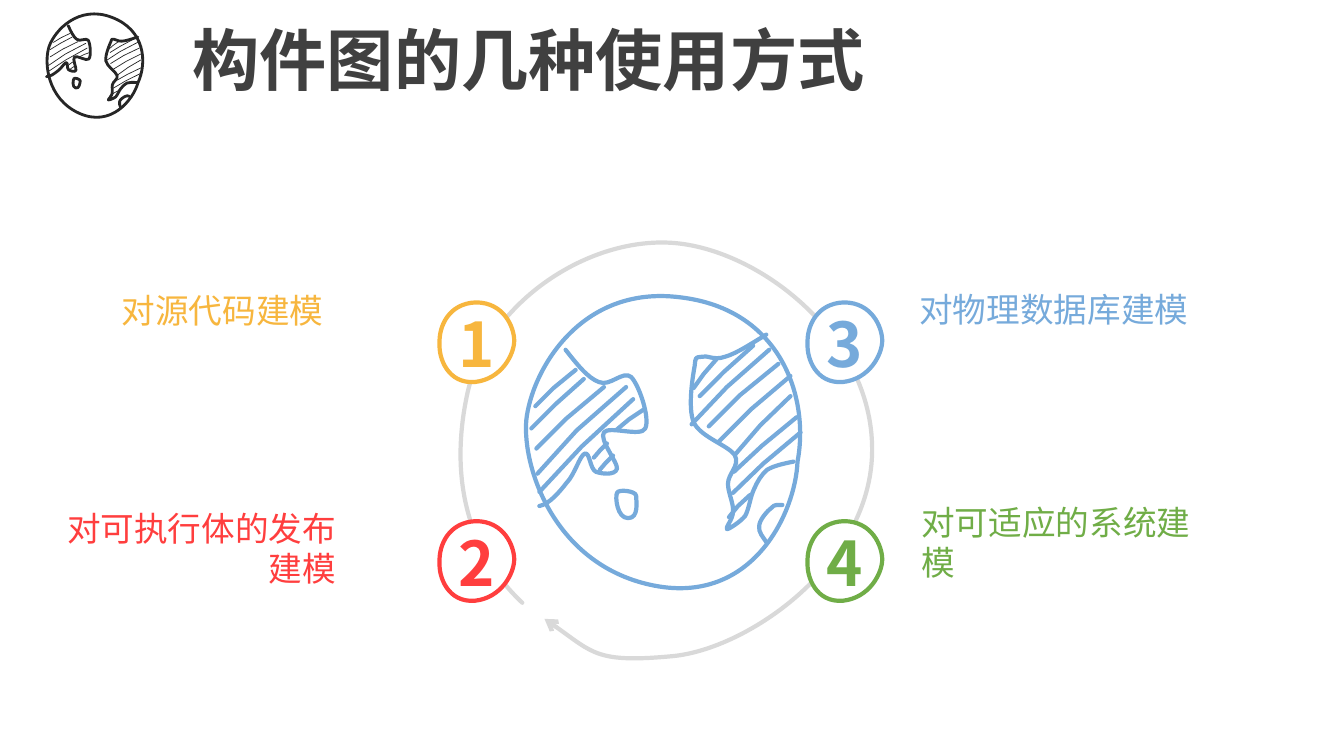
from math import cos, radians, sin

from lxml import etree
from pptx import Presentation
from pptx.dml.color import RGBColor
from pptx.enum.text import MSO_ANCHOR, MSO_AUTO_SIZE, PP_ALIGN
from pptx.oxml.ns import qn
from pptx.util import Cm, Pt

LEFT, CENTER, RIGHT = PP_ALIGN.LEFT, PP_ALIGN.CENTER, PP_ALIGN.RIGHT
TOP, MIDDLE = MSO_ANCHOR.TOP, MSO_ANCHOR.MIDDLE
NO_AUTOFIT = MSO_AUTO_SIZE.NONE
TEXT_FONT, DIGIT_FONT = "Noto Sans CJK SC", "Noto Sans CJK JP"
BLUE, YELLOW, RED, GREEN = "76AADB", "F7B63E", "FF3E3E", "70AD47"
DARK, GREY, WHITE, INK = "262626", "D9D9D9", "FFFFFF", "404040"
GLOBE_CENTER = (6.57, 4.37)

GLOBE_RIM = [
    (5.22, 4.17), (5.27, 3.69), (5.75, 2.82), (6.75, 2.95), (7.75, 3.07), (8.03, 3.95),
    (7.91, 4.58), (7.89, 5.08), (7.47, 6), (6.49, 5.81), (5.51, 5.62), (5.18, 4.65), (5.22, 4.17)]
WEST_COAST = [
    (5.61, 3.47), (5.72, 3.61), (5.83, 3.75), (5.94, 3.79), (6.05, 3.84), (6.18, 3.67),
    (6.26, 3.74), (6.34, 3.82), (6.45, 4.15), (6.4, 4.25), (6.36, 4.34), (6.04, 4.22),
    (5.99, 4.29), (5.94, 4.36), (6.13, 4.59), (6.12, 4.65), (6.1, 4.72), (5.96, 4.7),
    (5.91, 4.68), (5.85, 4.65), (5.85, 4.48), (5.8, 4.5), (5.75, 4.52), (5.7, 4.71),
    (5.62, 4.79), (5.55, 4.88), (5.45, 5), (5.35, 5.02)]
ISLAND = [
    (6.12, 4.89), (6.13, 4.85), (6.31, 4.87), (6.31, 4.92), (6.31, 4.97), (6.34, 5.14),
    (6.23, 5.14), (6.12, 5.14), (6.1, 4.93), (6.12, 4.89)]
EAST_COAST = [
    (7.6, 3.32), (7.45, 3.41), (7.3, 3.51), (7.19, 3.54), (7.08, 3.58), (7.01, 3.52),
    (6.96, 3.54), (6.9, 3.55), (6.9, 3.53), (6.89, 3.63), (6.87, 3.74), (6.82, 4.04),
    (6.88, 4.19), (6.95, 4.34), (7.23, 4.42), (7.29, 4.52), (7.34, 4.62), (7.22, 4.7),
    (7.22, 4.8), (7.22, 4.89), (7.28, 5), (7.27, 5.08), (7.27, 5.15), (7.19, 5.24),
    (7.21, 5.25), (7.23, 5.25), (7.34, 5.18), (7.39, 5.12), (7.43, 5.05), (7.44, 4.93),
    (7.48, 4.85), (7.51, 4.78), (7.55, 4.71), (7.61, 4.66), (7.68, 4.62), (7.77, 4.6), (7.87, 4.58)]
SOUTH_COAST = [
    (7.76, 5.01), (7.72, 5.01), (7.68, 5), (7.65, 5.04), (7.61, 5.07), (7.53, 5.16),
    (7.53, 5.22), (7.52, 5.28), (7.57, 5.33), (7.61, 5.39)]
GLOBE_OUTLINES = [GLOBE_RIM, WEST_COAST, ISLAND, EAST_COAST, SOUTH_COAST]
HATCHES = [
    [(7.28, 4.68), (7.56, 4.42), (7.9, 4.14)], [(6.86, 4.21), (7.21, 3.84), (7.63, 3.47)],
    [(5.31, 4.03), (5.49, 3.85), (5.71, 3.67)], [(7.29, 4.51), (7.54, 4.22), (7.84, 3.93)],
    [(5.35, 4.88), (5.77, 4.43), (6.28, 3.96)], [(7.13, 4.38), (7.45, 4.06), (7.84, 3.73)],
    [(7.03, 4.23), (7.34, 3.92), (7.72, 3.61)], [(6.94, 3.93), (7.18, 3.69), (7.47, 3.43)],
    [(6.12, 4.26), (6.24, 4.16), (6.39, 4.06)], [(5.32, 4.45), (5.62, 4.15), (5.99, 3.84)],
    [(7.27, 4.89), (7.57, 4.6), (7.94, 4.29)], [(7.23, 5.13), (7.32, 5.02), (7.44, 4.91)],
    [(6.88, 3.85), (6.98, 3.71), (7.11, 3.56)], [(5.27, 4.25), (5.51, 4.01), (5.79, 3.76)],
    [(5.33, 4.7), (5.72, 4.27), (6.21, 3.84)], [(5.89, 4.54), (5.95, 4.47), (6.02, 4.4)],
    [(5.95, 4.66), (6.01, 4.59), (6.08, 4.52)]]
ORBIT = [
    (5.18, 5.98), (4.7, 5.53), (4.44, 4.84), (4.63, 3.93), (4.81, 3.03), (5.81, 2.35),
    (6.67, 2.41), (7.52, 2.47), (8.65, 3.33), (8.65, 4.46), (8.65, 5.59), (7.42, 6.44),
    (6.67, 6.51), (5.92, 6.58), (5.87, 6.46), (5.4, 6.14)]
BADGE = [
    (0.74, 0.38), (0.74, 0.25), (0.64, 0), (0.36, 0), (0.09, 0.01), (-0.01, 0.24), (0, 0.41),
    (-0.01, 0.55), (0.08, 0.81), (0.35, 0.79), (0.62, 0.76), (0.74, 0.51), (0.74, 0.38)]

USES = [
    ("1", YELLOW, (4.36, 3), "对源代码建模", (1.11, 2.83, 2.3, 0.5), LEFT),
    ("2", RED, (4.36, 5.17), "对可执行体的发布建模", (0.49, 4.99, 2.94, 0.91), RIGHT),
    ("3", BLUE, (8.01, 3), "对物理数据库建模", (9.02, 2.82, 2.94, 0.5), LEFT),
    ("4", GREEN, (8.01, 5.17), "对可适应的系统建模", (9.04, 4.93, 2.94, 0.91), LEFT)]


def length(inches):
    return Cm(inches * 2.54)


def color(value):
    return RGBColor.from_string(value)


def bend(shape):
    segments = list(shape._element.iter(qn("a:lnTo")))
    for first in range(0, len(segments), 3):
        arc = etree.Element(qn("a:cubicBezTo"))
        segments[first].addprevious(arc)
        for segment in segments[first:first + 3]:
            arc.append(segment[0])
            segment.getparent().remove(segment)


def add_outline(shapes, points, line_color, width, fill=None, curved=True):
    corners = [(length(x), length(y)) for x, y in points]
    builder = shapes.build_freeform(*corners[0])
    builder.add_line_segments(corners[1:], close=corners[0] == corners[-1])
    shape = builder.convert_to_shape()
    if curved:
        bend(shape)
    shape.shadow.inherit = False
    if fill:
        shape.fill.solid()
        shape.fill.fore_color.rgb = color(fill)
    else:
        shape.fill.background()
    shape.line.color.rgb = color(line_color)
    shape.line.width = Pt(width)
    line = shape._element.spPr.find(qn("a:ln"))
    line.set("cap", "rnd")
    etree.SubElement(line, qn("a:round"))
    return shape


def add_globe(slide, center, scale, angle, line_color, outline_width, hatch_width):
    cosine, sine = scale * cos(radians(angle)), scale * sin(radians(angle))

    def place(points):
        offsets = [(x - GLOBE_CENTER[0], y - GLOBE_CENTER[1]) for x, y in points]
        return [(center[0] + cosine * x - sine * y, center[1] + sine * x + cosine * y)
                for x, y in offsets]

    group = slide.shapes.add_group_shape()
    for outline in GLOBE_OUTLINES:
        add_outline(group.shapes, place(outline), line_color, outline_width)
    for hatch in HATCHES:
        add_outline(group.shapes, place(hatch), line_color, hatch_width, curved=False)


def write(shape, text, size, text_color, font_name, alignment, anchor, bold=False, wrap=True):
    frame = shape.text_frame
    frame.text = text
    frame.word_wrap = wrap
    frame.auto_size = NO_AUTOFIT
    frame.vertical_anchor = anchor
    paragraph = frame.paragraphs[0]
    paragraph.alignment = alignment
    font = paragraph.font
    font.size, font.bold, font.name = Pt(size), bold, font_name
    font.color.rgb = color(text_color)
    properties = paragraph._p.pPr.find(qn("a:defRPr"))
    etree.SubElement(properties, qn("a:ea")).set("typeface", font_name)


def add_title(slide, text):
    title = slide.shapes.title
    title.left, title.top = length(1.81), length(0.13)
    title.width, title.height = length(6.89), length(0.91)
    write(title, text, 48, INK, TEXT_FONT, LEFT, TOP, bold=True, wrap=False)


def add_orbit(slide):
    orbit = add_outline(slide.shapes, ORBIT, GREY, 3)
    line = orbit._element.spPr.find(qn("a:ln"))
    etree.SubElement(line, qn("a:tailEnd")).set("type", "arrow")


def add_badge(slide, digit, badge_color, corner):
    points = [(corner[0] + x, corner[1] + y) for x, y in BADGE]
    badge = add_outline(slide.shapes, points, badge_color, 3, WHITE)
    write(badge, digit, 44, badge_color, DIGIT_FONT, CENTER, MIDDLE, bold=True)


def add_label(slide, text, text_color, box, alignment):
    label = slide.shapes.add_textbox(*map(length, box))
    write(label, text, 24, text_color, TEXT_FONT, alignment, TOP)


def main():
    presentation = Presentation()
    presentation.slide_width, presentation.slide_height = length(13.33), length(7.5)
    slide = presentation.slides.add_slide(presentation.slide_layouts[5])
    add_globe(slide, (0.93, 0.64), 0.35, 13.6, DARK, 2, 0.5)
    add_title(slide, "构件图的几种使用方式")
    add_globe(slide, GLOBE_CENTER, 1, 0, BLUE, 3, 3)
    add_orbit(slide)
    for digit, use_color, corner, text, box, alignment in USES:
        add_badge(slide, digit, use_color, corner)
        add_label(slide, text, use_color, box, alignment)
    presentation.save("out.pptx")


if __name__ == "__main__":
    main()
